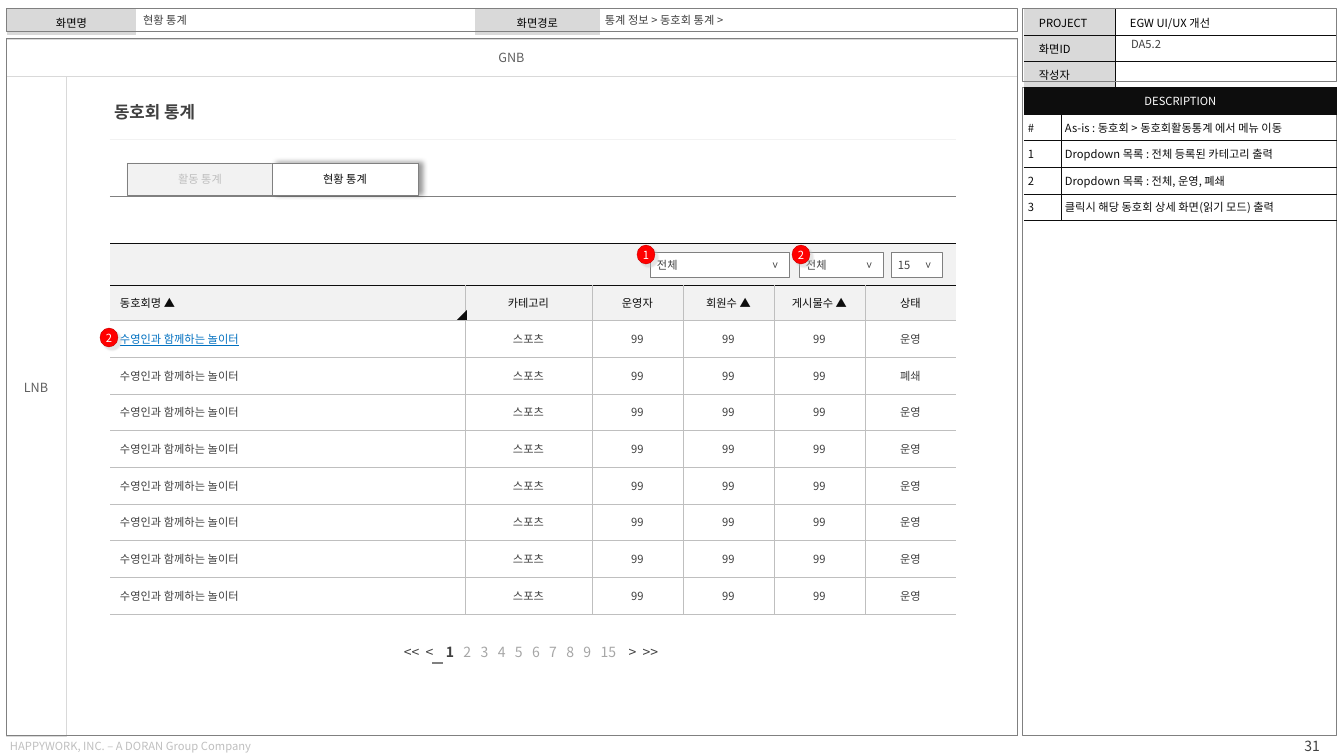
from dataclasses import dataclass, field

from lxml.etree import SubElement
from pptx import Presentation
from pptx.dml.color import RGBColor
from pptx.enum.shapes import MSO_CONNECTOR, MSO_SHAPE
from pptx.enum.text import MSO_ANCHOR, PP_ALIGN
from pptx.oxml.ns import qn
from pptx.util import Pt

PX = 914400 / 100.8
PLAIN = "{2D5ABB26-0587-4C30-8999-92F81FD0307C}"
RECT, OVAL = MSO_SHAPE.RECTANGLE, MSO_SHAPE.OVAL
LEFT, MID, RIGHT = PP_ALIGN.LEFT, PP_ALIGN.CENTER, PP_ALIGN.RIGHT


@dataclass(frozen=True)
class Theme:
    font: str = "Noto Sans CJK KR"
    black: str = "000000"
    ink: str = "0D0D0D"
    text: str = "404040"
    label: str = "5F5F5F"
    gray: str = "808080"
    dim: str = "A6A6A6"
    mute: str = "BFBFBF"
    pale: str = "D9D9D9"
    mist: str = "F2F2F2"
    white: str = "FFFFFF"
    link: str = "0070C0"
    red: str = "FF0000"
    rim: str = "C00000"
    small: int = 8
    note: int = 9
    page: int = 10
    head: int = 12
    hair: float = 0.25
    thin: float = 0.5
    thick: float = 1.5


T = Theme()


@dataclass
class Run:
    text: str
    color: str = T.text
    size: int = T.small
    bold: bool = False
    under: bool = False
    gap: int = 0


@dataclass
class Box:
    x: int
    y: int
    w: int
    h: int
    runs: list[Run] = field(default_factory=list)
    kind: MSO_SHAPE | None = None
    fill: str = ""
    line: str = ""
    width: float = T.thin
    align: PP_ALIGN = LEFT
    pad: tuple[int, int] = (4, 5)
    wrap: bool = False
    anchor: MSO_ANCHOR = MSO_ANCHOR.MIDDLE
    lead: float = 1.0
    turn: int = 0
    flip: bool = False
    shade: tuple[str, int, int, int] | None = None


@dataclass
class Line:
    x: int
    y: int
    end: int
    color: str
    width: float


@dataclass
class Cell:
    run: Run
    fill: str = ""
    align: PP_ALIGN = LEFT
    edge: dict[str, str] = field(default_factory=dict)


@dataclass
class Grid:
    x: int
    y: int
    cols: list[int]
    rows: list[int]
    cells: list[list[Cell]]
    pad: int
    rise: float = 0
    merge: bool = False


def px(num: float) -> int:
    return round(num * PX)


def put(goal: object, vals: dict[str, object]) -> None:
    for key, val in vals.items():
        setattr(goal, key, val)


def paint(fill, color: str) -> None:
    if color:
        fill.solid()
        fill.fore_color.rgb = RGBColor.from_string(color)
    else:
        fill.background()


def write(para, runs: list[Run]) -> None:
    for run in runs:
        part = para.add_run()
        part.text = run.text
        put(part.font, {"size": Pt(run.size), "bold": run.bold,
                        "underline": run.under, "name": T.font})
        paint(part.font.fill, run.color)
        props = part.font._element
        SubElement(props, qn("a:ea"), typeface=T.font)
        if run.gap:
            props.set("spc", str(run.gap))


def box(slide, item: Box) -> None:
    area = [px(n) for n in (item.x, item.y, item.w, item.h)]
    if item.kind is None:
        shape = slide.shapes.add_textbox(*area)
    else:
        shape = slide.shapes.add_shape(item.kind, *area)
        shape.shadow.inherit = False
        paint(shape.fill, item.fill)
        paint(shape.line.fill, item.line)
        if item.line:
            shape.line.width = Pt(item.width)
    shape.rotation = item.turn
    props = shape._element.spPr
    if item.flip:
        props.get_or_add_xfrm().set("flipH", "1")
    if item.shade:
        color, blur, dist, angle = item.shade
        glow = SubElement(props.find(qn("a:effectLst")), qn("a:outerShdw"),
                          blurRad=str(Pt(blur)), dist=str(Pt(dist)), dir=str(angle * 60000),
                          algn="ctr", rotWithShape="0")
        tint = SubElement(glow, qn("a:srgbClr"), val=color)
        SubElement(tint, qn("a:alpha"), val="40000")
    if item.runs:
        frame = shape.text_frame
        side, top = px(item.pad[0]), px(item.pad[1])
        put(frame, {"word_wrap": item.wrap, "vertical_anchor": item.anchor,
                    "margin_left": side, "margin_right": side,
                    "margin_top": top, "margin_bottom": top})
        put(frame.paragraphs[0], {"alignment": item.align, "line_spacing": item.lead})
        write(frame.paragraphs[0], item.runs)


def line(slide, item: Line) -> None:
    link = slide.shapes.add_connector(MSO_CONNECTOR.STRAIGHT, px(item.x), px(item.y),
                                      px(item.end), px(item.y))
    paint(link.line.fill, item.color)
    link.line.width = Pt(item.width)
    SubElement(link._element.spPr, qn("a:effectLst"))


def grid(slide, item: Grid) -> None:
    frame = slide.shapes.add_table(len(item.rows), len(item.cols), px(item.x), px(item.y),
                                   px(sum(item.cols)), px(sum(item.rows)))
    table = frame.table
    put(table, {"first_row": False, "horz_banding": False})
    table._tbl.tblPr.find(qn("a:tableStyleId")).text = PLAIN
    for col, size in zip(table.columns, item.cols):
        col.width = px(size)
    for row, size in zip(table.rows, item.rows):
        row.height = px(size)
    for r, row in enumerate(item.cells):
        for c, data in enumerate(row):
            cell = table.cell(r, c)
            put(cell, {"margin_left": px(item.pad), "margin_right": px(item.pad),
                       "margin_top": px(5), "margin_bottom": px(5),
                       "vertical_anchor": MSO_ANCHOR.MIDDLE})
            para = cell.text_frame.paragraphs[0]
            put(para, {"alignment": data.align, "space_before": Pt(item.rise)})
            if data.run.text:
                write(para, [data.run])
            else:
                SubElement(para._p, qn("a:endParaRPr"), sz=str(T.small * 100))
            props = cell._tc.get_or_add_tcPr()
            for side in "LRTB":
                if side in data.edge:
                    rule = SubElement(props, qn("a:ln" + side), w=str(Pt(T.hair)))
                    SubElement(SubElement(rule, qn("a:solidFill")), qn("a:srgbClr"),
                               val=data.edge[side])
            paint(cell.fill, data.fill)
    if item.merge:
        table.cell(0, 0).merge(table.cell(0, len(item.cols) - 1))


def edges(sides: str, color: str = T.ink) -> dict[str, str]:
    return dict.fromkeys(sides, color)


def steps(size: float, count: int) -> list[int]:
    return [round(size * (i + 1)) - round(size * i) for i in range(count)]


def top() -> Grid:
    cells = [Cell(Run(name, T.black), T.pale if name else "", MID)
             for name in ("화면명", "", "화면경로", "")]
    return Grid(7, 9, [129, 339, 125, 419], [21], [cells], 15, 1.6)


def project() -> Grid:
    rows = [("PROJECT", "EGW UI/UX 개선", "B"), ("화면ID", "", "TB"), ("작성자", "", "T")]
    cells = [[Cell(Run(key, T.black), T.pale, edge=edges("R" + side)),
              Cell(Run(val, T.black), edge=edges("L" + side))] for key, val, side in rows]
    return Grid(1024, 9, [91, 222], [24] * 3, cells, 15, 1.6)


def notes() -> Grid:
    rows = [("#", "As-is : 동호회 > 동호회활동통계 에서 메뉴 이동"),
            ("1", "Dropdown 목록 : 전체 등록된 카테고리 출력"),
            ("2", "Dropdown 목록 : 전체, 운영, 폐쇄"),
            ("3", "클릭시 해당 동호회 상세 화면(읽기 모드) 출력")]
    head = [Cell(Run(name, T.white), T.ink, MID, edges("B")) for name in ("DESCRIPTION", "")]
    body = [[Cell(Run(key, T.ink), edge=edges("RTB")),
             Cell(Run(val, T.ink), edge=edges("LTB"))] for key, val in rows]
    return Grid(1024, 87, [37, 276], [27] + steps(26.5, 4), [head] + body, 4, 1.6, True)


def clubs() -> Grid:
    names = ["동호회명 ▲", "카테고리", "운영자", "회원수 ▲", "게시물수 ▲", "상태"]
    states = ["운영", "폐쇄"] + ["운영"] * 6
    rows = [names] + [["수영인과 함께하는 놀이터", "스포츠", "99", "99", "99", s] for s in states]
    cells = [[Cell(Run(""), T.mist, edge=edges("TB")) for _ in names]]
    for r, row in enumerate(rows):
        cells.append([])
        for c, text in enumerate(row):
            link = (r, c) == (1, 0)
            color = T.link if link else T.text if r else T.ink
            edge = edges("TB" + "L" * (c > 0) + "R" * (c < 5), T.mute)
            if r == 0:
                edge["T"] = T.ink
            cells[-1].append(Cell(Run(text, color, under=link), T.white if r else T.mist,
                                  MID if c else LEFT, edge))
    return Grid(110, 243, [355, 127] + [91] * 4, [42, 35] + steps(36.75, 8), cells, 10, merge=True)


def pager() -> Box:
    marks = [("<<", T.text, 2), ("<", T.text, 4), ("1", T.text, 3)]
    marks += [(str(n), T.dim, 3) for n in range(2, 10)]
    marks += [("15", T.dim, 4), (">", T.text, 2), (">>", T.text, 0)]
    runs = []
    for text, color, gap in marks:
        runs.append(Run(text, color, T.page, text == "1"))
        if gap:
            runs.append(Run(" ", color, T.page, gap=224 * (gap - 1)))
    return Box(381, 632, 300, 39, runs, align=MID, pad=(8, 5))


def pane(x: int, y: int, w: int, h: int, fill: str = "") -> Box:
    return Box(x, y, w, h, kind=RECT, fill=fill, line=T.gray)


def zone(w: int, h: int, name: str, fill: str = "") -> Box:
    return Box(6, 39, w, h, [Run(name, T.label, T.note)], RECT, fill, T.pale, align=MID, wrap=True)


def tab(x: int, name: str, color: str, fill: str, shade=None) -> Box:
    return Box(x, 163, 146, 32, [Run(name, color)], RECT, fill, T.gray,
               align=MID, wrap=True, shade=shade)


def pick(x: int, w: int, name: str) -> list[Box]:
    return [Box(x, 252, w, 25, [Run(name)], RECT, T.white, T.gray, T.hair, pad=(7, 4), lead=1.15),
            Box(x + w - 22, 254, 17, 26, [Run(">")], turn=90)]


def badge(x: int, y: int, num: str) -> Box:
    return Box(x, y, 18, 19, [Run(num, T.white)], OVAL, T.red, T.rim, T.hair, MID,
               (4, 4), lead=1.15, shade=(T.mute, 1, 3, 45))


def label(x: int, y: int, name: str, w: int = 101) -> Box:
    return Box(x, y, w, 24, [Run(name)])


def main() -> None:
    deck = Presentation()
    put(deck, {"slide_width": px(1344), "slide_height": px(756)})
    slide = deck.slides.add_slide(deck.slide_layouts[6])
    items = [
        top(), project(),
        Box(6, 734, 362, 21, [Run("HAPPYWORK, INC. – A DORAN Group Company", T.mute)],
            anchor=MSO_ANCHOR.TOP),
        pane(6, 38, 1011, 697, T.white), pane(6, 8, 1011, 23),
        pane(1022, 8, 314, 73), pane(1022, 87, 314, 648),
        Box(1252, 735, 72, 21, [Run("31", size=T.page)], align=RIGHT),
        zone(60, 697, "LNB"), zone(1011, 37, "GNB", T.white), pane(6, 38, 1011, 697),
        Box(110, 96, 101, 31, [Run("동호회 통계", size=T.head, bold=True)]),
        Line(110, 139, 956, T.mist, T.hair), Line(110, 196, 956, T.gray, T.thin),
        tab(127, "활동 통계", T.mute, T.mist),
        tab(272, "현황 통계", T.ink, T.white, (T.black, 4, 3, 0)),
        clubs(), *pick(891, 51, "15"), *pick(799, 84, "전체"), *pick(650, 139, "전체"),
        Box(457, 310, 10, 10, kind=MSO_SHAPE.RIGHT_TRIANGLE, fill=T.ink, flip=True),
        pager(), Line(432, 663, 443, T.gray, T.thick), notes(),
        badge(637, 245, "1"), badge(792, 245, "2"),
        label(601, 8, "통계 정보 > 동호회 통계 >", 200), label(139, 8, "현황 통계"),
        badge(100, 328, "2"), label(1127, 32, "DA5.2"),
    ]
    tools = {Box: box, Line: line, Grid: grid}
    for item in items:
        tools[type(item)](slide, item)
    deck.save("out.pptx")


if __name__ == "__main__":
    main()
